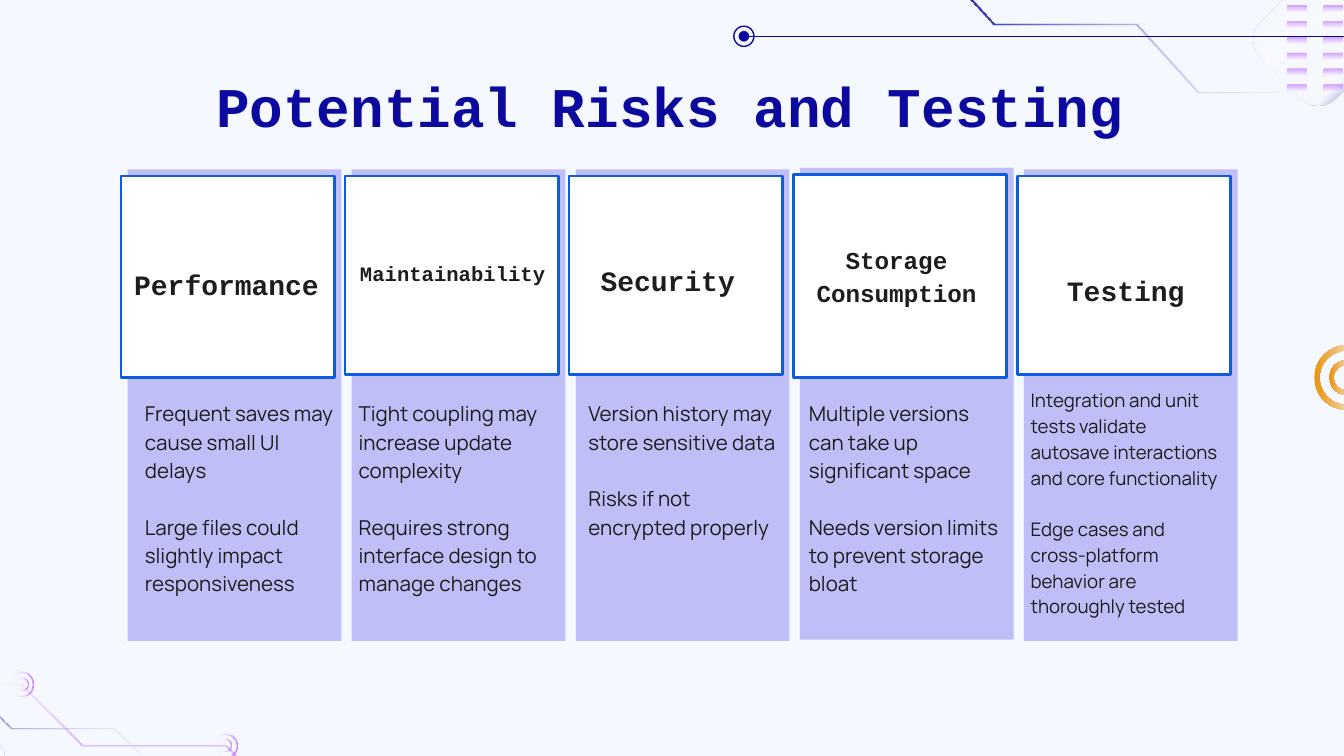
from math import cos, radians, sin

from pptx import Presentation
from pptx.dml.color import RGBColor
from pptx.enum.shapes import MSO_CONNECTOR, MSO_SHAPE
from pptx.enum.text import MSO_ANCHOR, PP_ALIGN
from pptx.oxml import parse_xml
from pptx.oxml.ns import nsdecls, qn
from pptx.util import Inches, Pt

NAVY, INK, BLUE, LILAC = "0C0A9E", "1D1D1D", "0D5CDF", "BFBEF7"
WHITE, PAPER, VIOLET, ORANGE = "FFFFFF", "F5F8FF", "9900FF", "EB9109"
color = RGBColor.from_string

deck = Presentation()
deck.slide_width, deck.slide_height = Inches(10), Inches(5.625)
# Square grid: 100 columns across the slide, 56.25 rows down it
UNIT = deck.slide_width / 100
slide = deck.slides.add_slide(deck.slide_layouts[6])
slide.background.fill.solid()
slide.background.fill.fore_color.rgb = color(PAPER)


def add_block(kind, left, top, width, height, fill=None, line=None, weight=0.75):
    """Add a preset shape at grid units, without shadow."""
    block = slide.shapes.add_shape(
        kind, *(round(value * UNIT) for value in (left, top, width, height)))
    block.shadow.inherit = False
    if fill:
        block.fill.solid()
        block.fill.fore_color.rgb = color(fill)
    else:
        block.fill.background()
    if line:
        block.line.color.rgb = color(line)
        block.line.width = Pt(weight)
    else:
        block.line.fill.background()
    return block


def fill_gradient(shape, stops, angle=None):
    """Fill with (position, colour, opacity) stops; no angle means radial from top left."""
    stop_list = "".join(
        f'<a:gs pos="{position * 1000}"><a:srgbClr val="{tint}">'
        f'<a:alpha val="{opacity * 1000}"/></a:srgbClr></a:gs>'
        for position, tint, opacity in stops)
    if angle is None:
        course = '<a:path path="circle"><a:fillToRect r="100000" b="100000"/></a:path>'
    else:
        course = f'<a:lin ang="{angle * 60000}" scaled="0"/>'
    shape.fill.background()
    properties = shape._element.spPr
    properties.replace(properties.find(qn("a:noFill")), parse_xml(
        f'<a:gradFill {nsdecls("a")}><a:gsLst>{stop_list}</a:gsLst>{course}</a:gradFill>'))


# Circuit traces and rounded diamonds in the corners
violet_fade = [(0, VIOLET, 47), (100, WHITE, 0)]
navy_fade = [(0, NAVY, 100), (100, WHITE, 0)]
corner_fade = [(0, PAPER, 100), (22, PAPER, 100), (45, WHITE, 0), (100, NAVY, 50)]
chip_fade = [(0, PAPER, 100), (18, PAPER, 100), (56, WHITE, 0), (74, PAPER, 100),
             (100, NAVY, 20)]
violet_trace = [(20.8, 59.4), (16.8, 55.4), (6.2, 55.4), (1.6, 50.8), (-6.3, 50.8),
                (-8.7, 48.4), (-8.7, 44), (-10.1, 44)]
lower_trace = [(-10.1, 53.7), (-5, 53.7), (-5, 51.2), (-3.4, 52.9), (-1.8, 51.4),
               (0.9, 54.1), (8.5, 54.1), (11.1, 56.6), (15.3, 56.6)]
upper_trace = [(70, -2.6), (74, 1.75), (84.6, 1.75), (89.2, 6.8), (97.1, 6.8),
               (99.6, 9.5), (99.6, 14.2), (101, 14.2)]
outlines = []
for x, y, reach, stops, angle in [(-2.75, 56.3, 3.05, corner_fade, 135),
                                  (98.1, 3, 4.85, chip_fade, None)]:
    diamond = []
    for corner in range(0, 360, 90):
        for turn in range(corner - 45, corner + 46, 15):
            diamond.append((
                x + reach * (0.62 * cos(radians(corner)) + 0.38 * cos(radians(turn))),
                y + reach * (0.62 * sin(radians(corner)) + 0.38 * sin(radians(turn)))))
    outlines.append((diamond, stops, angle))
for trace, stops, angle in [(violet_trace, violet_fade, 270),
                            (lower_trace, navy_fade, 0), (upper_trace, navy_fade, 0)]:
    far_edge = [(x - 0.1, y + 0.12) for x, y in reversed(trace)]
    outlines.append((trace + far_edge, stops, angle))
for points, stops, angle in outlines:
    points = [(round(x * 100), round(y * 100)) for x, y in points]
    builder = slide.shapes.build_freeform(*points[0], scale=UNIT / 100)
    builder.add_line_segments(points[1:], close=True)
    outline = builder.convert_to_shape()
    outline.shadow.inherit = False
    outline.line.fill.background()
    fill_gradient(outline, stops, angle)

for left in (95.8, 98.5):
    for row in range(6):
        bar = add_block(MSO_SHAPE.RECTANGLE, left, 0.4 + 1.18 * row, 1.4, 0.55)
        fill_gradient(bar, [(0, VIOLET, 37), (100, WHITE, 37)], 90)

orange_fade = [(0, ORANGE, 100), (78, PAPER, 100), (100, PAPER, 100)]
for x, y, diameter, band, stops, angle in [
        (1.6, 50.9, 1.8, 0.07, violet_fade, 180), (1.6, 50.9, 1, 0.12, violet_fade, 180),
        (16.75, 55.45, 1.8, 0.07, violet_fade, 180),
        (16.75, 55.45, 1, 0.12, violet_fade, 180),
        (100.2, 28.1, 4.8, 0.08, orange_fade, 0),
        (100.2, 28.1, 2.6, 0.13, orange_fade, 0)]:
    ring = add_block(MSO_SHAPE.DONUT, x - diameter / 2, y - diameter / 2,
                     diameter, diameter)
    ring.adjustments[0] = band
    fill_gradient(ring, stops, angle)

# Node and its wire to the right edge
add_block(MSO_SHAPE.OVAL, 54.6, 1.95, 1.5, 1.5, line=NAVY)
wire = slide.shapes.add_connector(
    MSO_CONNECTOR.STRAIGHT,
    *(round(value * UNIT) for value in (104.5, 2.7, 55.7, 2.7)))
wire.line.color.rgb = color(NAVY)
wire.line.width = Pt(0.75)
wire._element.spPr.append(parse_xml(f'<a:effectLst {nsdecls("a")}/>'))
add_block(MSO_SHAPE.OVAL, 54.95, 2.3, 0.8, 0.8, fill=NAVY)

# Heading, (heading box), heading size, panel top, card height, (body box), body size, body
risks = [
    ("Performance", (9, 18.5, 15.9, 7.2), 15, 12.6, 15, (9.8, 28.6, 16.3, 12.3), 11,
     ["Frequent saves may cause small UI delays",
      "Large files could slightly impact responsiveness"]),
    ("Maintainability", (25.8, 18.5, 15.9, 5.2), 11, 12.6, 14.8,
     (25.7, 28.6, 16.3, 16.5), 11,
     ["Tight coupling may increase update complexity",
      "Requires strong interface design to manage changes"]),
    ("Security", (43.7, 18.2, 15.9, 5.2), 15, 12.6, 14.8, (42.8, 28.6, 16.3, 16.5), 11,
     ["Version history may store sensitive data",
      "Risks if not encrypted properly"]),
    ("Storage Consumption", (59.6, 16.9, 14.2, 6.1), 13, 12.5, 15.1,
     (59.2, 28.6, 16.3, 16.5), 11,
     ["Multiple versions can take up significant space",
      "Needs version limits to prevent storage bloat"]),
    ("Testing", (78.4, 19, 15.9, 5.2), 15, 12.6, 14.8, (75.7, 27.7, 16.3, 20.2), 10,
     ["Integration and unit tests validate autosave interactions and core functionality",
      "Edge cases and cross-platform behavior are thoroughly tested"]),
]
texts = [(["Potential Risks and Testing"], (15.1, 4.3, 69.7, 6.3), 30,
          "Courier New", NAVY, 1)]
for column, (heading, heading_box, heading_size, panel_top, card_height,
             body_box, body_size, body) in enumerate(risks):
    panel_left = 9.5 + 16.67 * column
    add_block(MSO_SHAPE.RECTANGLE, panel_left, panel_top, 15.9, 35.1, fill=LILAC)
    add_block(MSO_SHAPE.RECTANGLE, panel_left - 0.5, panel_top + 0.5, 15.9, card_height,
              fill=WHITE, line=BLUE, weight=1.5)
    heading_spacing = 1 if heading == "Maintainability" else 1.15
    texts.append(([heading], heading_box, heading_size, "Courier New", INK,
                  heading_spacing))
    texts.append((body, body_box, body_size, "Manrope", INK, 1.15))

for lines, box, size, font, tint, spacing in texts:
    frame = slide.shapes.add_textbox(*(round(value * UNIT) for value in box)).text_frame
    frame.word_wrap = True
    frame.vertical_anchor = MSO_ANCHOR.TOP
    frame.margin_left = frame.margin_right = Inches(0.1)
    frame.margin_top = frame.margin_bottom = Inches(0.1)
    frame.text = "\n".join(lines)
    for index, paragraph in enumerate(frame.paragraphs):
        paragraph.line_spacing = spacing
        paragraph.space_before = Pt(round(1.38 * size, 1) if index else 0)
        if paragraph.text == "Storage Consumption":
            paragraph.alignment = PP_ALIGN.CENTER
        letters = paragraph.runs[0].font
        letters.name, letters.size = font, Pt(size)
        letters.bold = font == "Courier New"
        letters.color.rgb = color(tint)

deck.save("out.pptx")
